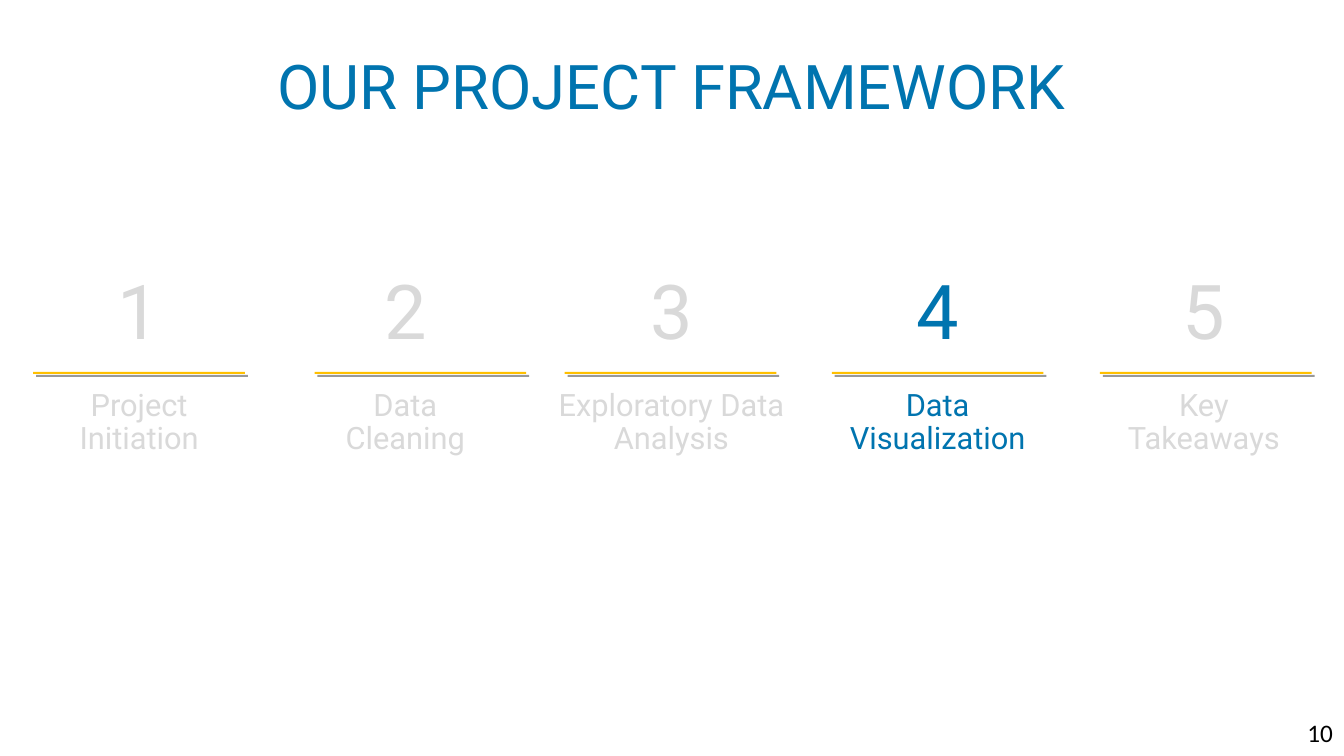
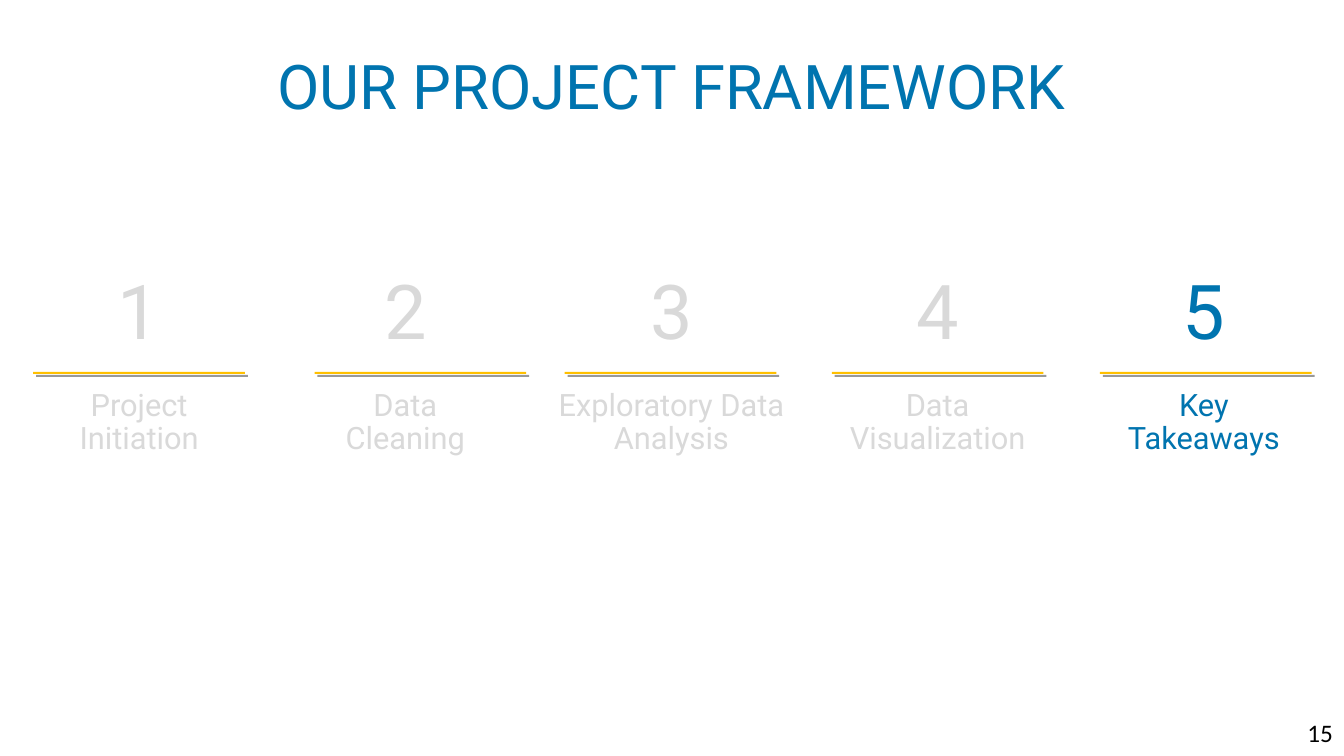
from lxml import etree
from pptx import Presentation
from pptx import util as u
from pptx.dml.color import RGBColor
from pptx.enum import shapes, text
from pptx.oxml.ns import qn

BLUE, GREY, GOLD, BLACK = "0074AF", "D9D9D9", "FFC000", "000000"
FONT = "Roboto"
TITLE = "OUR PROJECT FRAMEWORK"
STEPS = ["Project\vInitiation", "Data\vCleaning", "Exploratory Data Analysis",
         "Data\vVisualization", "Key\vTakeaways"]

# Step columns, and the left edge of the rule in each
LEFT, PITCH, WIDE = 0.08, 2.64, 2.6
RULES = [0.33, 3.12, 5.6, 8.25, 10.91]


def color(code):
    return RGBColor.from_string(code)


def add_text(slide, box, words, size, tone, font=FONT, inset=0.1,
             align=text.PP_ALIGN.CENTER, spacing=0.9):
    shape = slide.shapes.add_textbox(*map(u.Inches, box))
    frame = shape.text_frame
    frame.word_wrap = True
    frame.margin_left = frame.margin_right = u.Inches(inset)
    frame.text = words
    para = frame.paragraphs[0]
    para.alignment = align
    para.line_spacing = spacing
    para.font.name = font
    para.font.size = u.Pt(size)
    para.font.color.rgb = color(tone)
    return frame


def add_rule(slide, left):
    rule = slide.shapes.add_shape(shapes.MSO_SHAPE.RECTANGLE, u.Inches(left),
                                  u.Inches(3.69), u.Inches(2.1), u.Inches(0.02))
    rule.fill.solid()
    rule.fill.fore_color.rgb = color(GOLD)
    rule.line.fill.background()
    # Hard shadow, 3 pt down to the right at 45 degrees
    rule.shadow.inherit = False
    effects = rule.element.spPr.find(qn("a:effectLst"))
    shade = etree.SubElement(effects, qn("a:outerShdw"), blurRad="0",
                             dist=str(u.Pt(3)), dir="2700000", algn="tl",
                             rotWithShape="0")
    tone = etree.SubElement(shade, qn("a:srgbClr"), val=BLACK)
    etree.SubElement(tone, qn("a:alpha"), val="40000")


def add_step(slide, index, label, tone):
    left = LEFT + index * PITCH
    add_text(slide, (left, 2.67, WIDE, 0.92), str(index + 1), 54, tone, inset=0.16)
    add_rule(slide, RULES[index])
    add_text(slide, (left, 3.82, WIDE, 0.77), label, 22, tone, inset=0.16)


def add_page(slide, number):
    frame = add_text(slide, (12.85, 7.07, 0.47, 0.4), str(number), 18, BLACK,
                     font="Calibri", align=text.PP_ALIGN.RIGHT, spacing=1.0)
    frame.word_wrap = False
    frame.vertical_anchor = text.MSO_ANCHOR.MIDDLE


def add_agenda(deck, current, number):
    slide = deck.slides.add_slide(deck.slide_layouts[6])
    add_text(slide, (0, 0.51, 13.33, 0.77), TITLE, 44, BLUE)
    for index, label in enumerate(STEPS):
        add_step(slide, index, label, BLUE if index + 1 == current else GREY)
    add_page(slide, number)


def main():
    deck = Presentation()
    deck.slide_width, deck.slide_height = u.Inches(13.33), u.Inches(7.5)
    add_agenda(deck, current=4, number=10)
    add_agenda(deck, current=5, number=15)
    deck.save("out.pptx")


if __name__ == "__main__":
    main()
